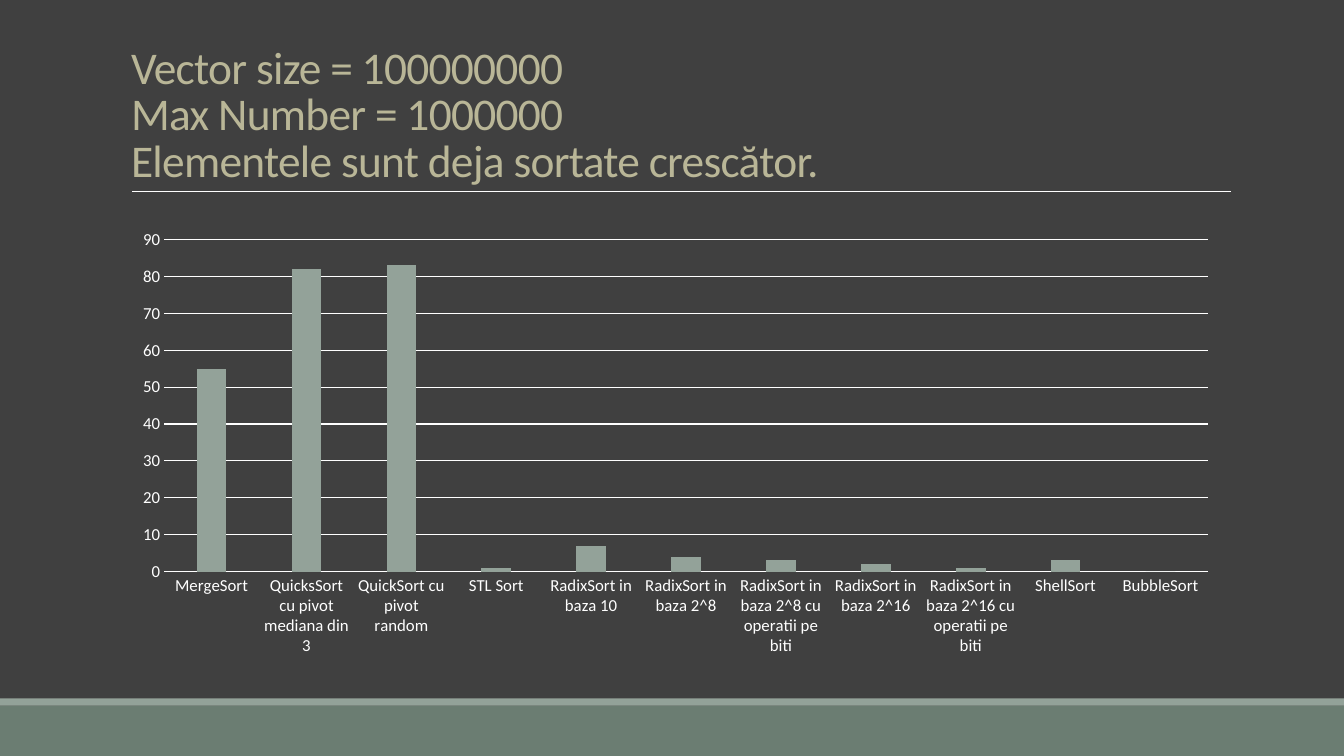
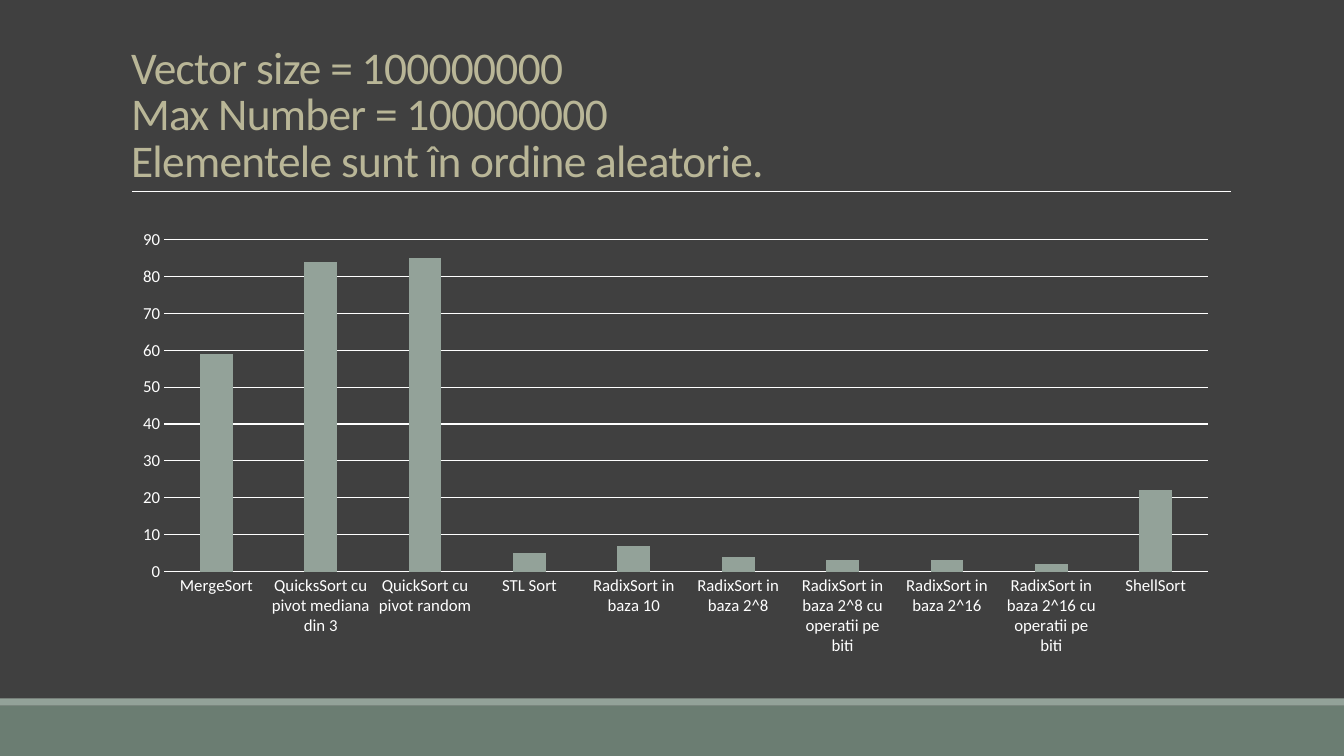
from pptx import Presentation
from pptx import util as u
from pptx.chart import data as chart_data
from pptx.dml import color
from pptx.enum import chart as charts, shapes, text
from pptx.oxml import ns
from lxml import etree

ALGORITHMS = [
    "MergeSort", "QuicksSort cu pivot mediana din 3", "QuickSort cu pivot random",
    "STL Sort", "RadixSort in baza 10", "RadixSort in baza 2^8",
    "RadixSort in baza 2^8 cu operatii pe biti", "RadixSort in baza 2^16",
    "RadixSort in baza 2^16 cu operatii pe biti", "ShellSort", "BubbleSort",
]

# Title lines and running times, in the order of ALGORITHMS
BENCHMARKS = [
    (["Vector size = 100000000", "Max Number = 1000000",
      "Elementele sunt deja sortate crescător."],
     [55, 82, 83, 1, 7, 4, 3, 2, 1, 3, 0]),
    (["Vector size = 100000000", "Max Number = 100000000",
      "Elementele sunt în ordine aleatorie."],
     [59, 84, 85, 5, 7, 4, 3, 3, 2, 22]),
]


def rgb(value):
    return color.RGBColor.from_string(value)


class Deck:
    FONT = "Calibri"
    BACKGROUND, BAND, ACCENT = "404040", "6B7D72", "93A299"
    TITLE, LIGHT = "B9B697", "FFFFFF"
    LEFT, WIDTH = 1.2, 11

    def __init__(self):
        self.presentation = Presentation()
        self.presentation.slide_width = u.Inches(13.33)
        self.presentation.slide_height = u.Inches(7.5)
        fill = self.presentation.slide_master.background.fill
        fill.solid()
        fill.fore_color.rgb = rgb(self.BACKGROUND)
        self.slide = None

    def add_slide(self, title_lines):
        layout = self.presentation.slide_layouts.get_by_name("Title Only")
        self.slide = self.presentation.slides.add_slide(layout)
        self.band(7, 0.5, self.BAND)
        self.band(6.93, 0.07, self.ACCENT)
        self.rule(1.31, 12.21, 1.9)
        self.title(title_lines)

    def band(self, top, height, fill):
        shape = self.slide.shapes.add_shape(
            shapes.MSO_SHAPE.RECTANGLE, 0, u.Inches(top),
            self.presentation.slide_width, u.Inches(height))
        shape.shadow.inherit = False
        shape.fill.solid()
        shape.fill.fore_color.rgb = rgb(fill)
        shape.line.fill.background()

    def rule(self, left, right, top):
        line = self.slide.shapes.add_connector(
            shapes.MSO_CONNECTOR.STRAIGHT, u.Inches(left), u.Inches(top),
            u.Inches(right), u.Inches(top))
        self.stroke(line.line, 0.5)
        etree.SubElement(line._element.spPr, ns.qn("a:effectLst"))

    def stroke(self, line, width):
        line.color.rgb = rgb(self.LIGHT)
        line.width = u.Pt(width)

    def style_font(self, font, size, value):
        font.name = self.FONT
        font.size = u.Pt(size)
        font.color.rgb = rgb(value)

    def title(self, lines):
        title = self.slide.shapes.title
        title.left, title.top = u.Inches(self.LEFT), u.Inches(0.31)
        title.width, title.height = u.Inches(self.WIDTH), u.Inches(1.59)
        frame = title.text_frame
        frame.word_wrap = True
        frame.auto_size = text.MSO_AUTO_SIZE.NONE
        frame.vertical_anchor = text.MSO_ANCHOR.BOTTOM
        paragraph = frame.paragraphs[0]
        paragraph.alignment = text.PP_ALIGN.LEFT
        paragraph.line_spacing = 0.85
        for index, line in enumerate(lines):
            if index:
                paragraph.add_line_break()
            run = paragraph.add_run()
            run.text = line
            self.style_font(run.font, 32.4, self.TITLE)
            run._r.get_or_add_rPr().set("spc", "-50")

    def column_chart(self, categories, values):
        data = chart_data.CategoryChartData()
        data.categories = categories
        data.add_series("Series 1", values)
        chart = self.slide.shapes.add_chart(
            charts.XL_CHART_TYPE.COLUMN_CLUSTERED, u.Inches(self.LEFT),
            u.Inches(2.19), u.Inches(self.WIDTH), u.Inches(4.4), data).chart
        chart.has_title = False
        chart.has_legend = False
        self.style_font(chart.font, 10, self.LIGHT)

        # Columns
        plot = chart.plots[0]
        plot.gap_width, plot.overlap = 219, -27
        plot.vary_by_categories = False
        fill = plot.series[0].format.fill
        fill.solid()
        fill.fore_color.rgb = rgb(self.ACCENT)

        # Axes and grid
        for axis in (chart.category_axis, chart.value_axis):
            axis.major_tick_mark = charts.XL_TICK_MARK.NONE
            axis.minor_tick_mark = charts.XL_TICK_MARK.NONE
            self.style_font(axis.tick_labels.font, 12, self.LIGHT)
        self.stroke(chart.category_axis.format.line, 0.75)
        scale = chart.value_axis
        scale.minimum_scale, scale.maximum_scale, scale.major_unit = 0, 90, 10
        scale.tick_labels.number_format = "0"
        scale.tick_labels.number_format_is_linked = False
        scale.format.line.fill.background()
        scale.has_major_gridlines = True
        self.stroke(scale.major_gridlines.format.line, 0.75)


def main():
    deck = Deck()
    for title_lines, times in BENCHMARKS:
        deck.add_slide(title_lines)
        deck.column_chart(ALGORITHMS[:len(times)], times)
    deck.presentation.save("out.pptx")


if __name__ == "__main__":
    main()
